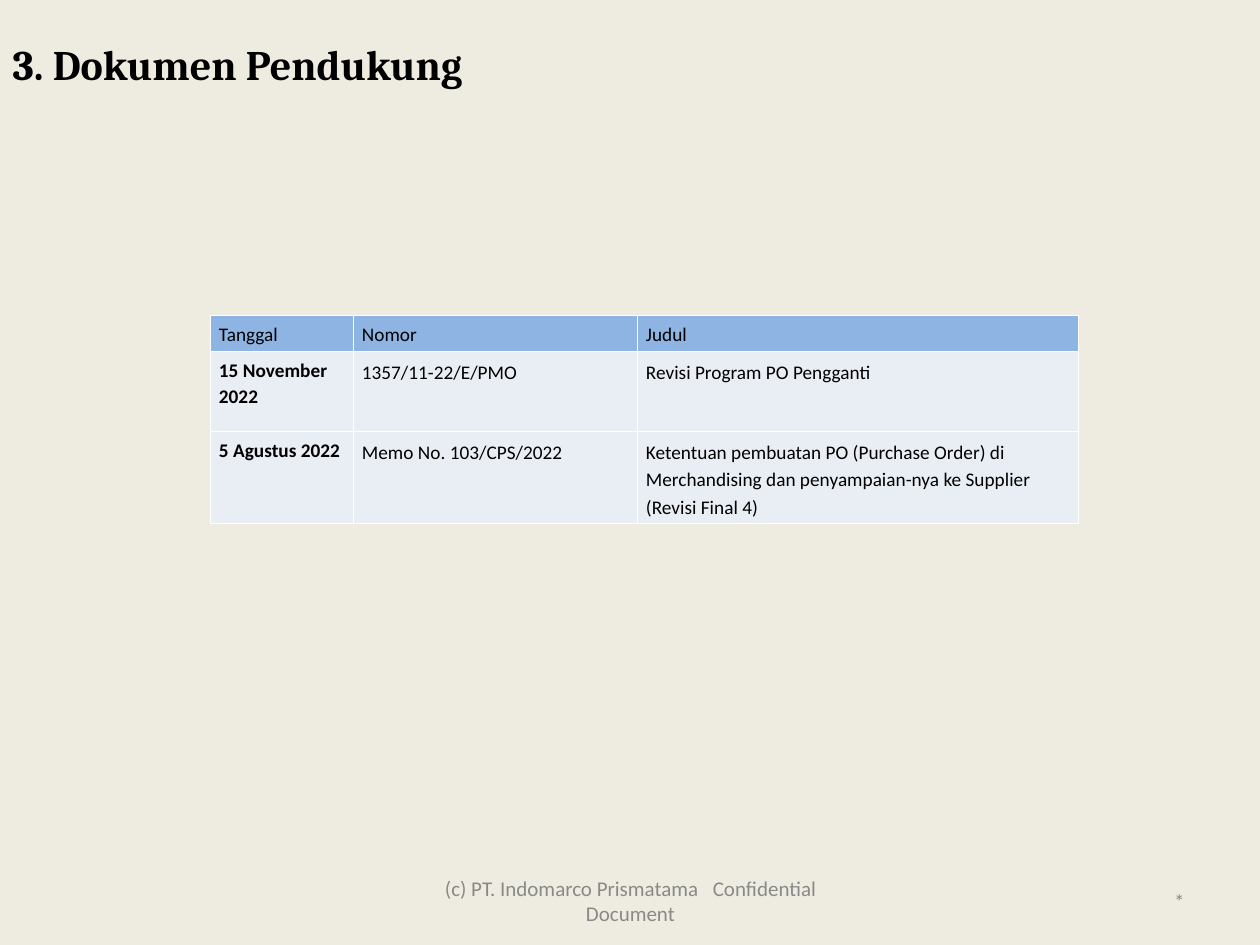
from typing import NamedTuple

from lxml.etree import SubElement
from pptx import Presentation
from pptx.dml.color import RGBColor
from pptx.enum.text import MSO_ANCHOR, MSO_AUTO_SIZE, PP_ALIGN
from pptx.oxml.ns import qn
from pptx.util import Emu, Pt

PX_PER_INCH = 126
COLORS = {
    "background": "EEECE1",
    "text": "000000",
    "footer": "898989",
    "header": "8EB4E3",
    "body": "E9EDF4",
    "border": "FFFFFF",
}
BORDER_WIDTH = Pt(0.45)


class Box(NamedTuple):
    left: int
    top: int
    width: int
    height: int


class Footer(NamedTuple):
    box: Box
    texts: tuple
    align: PP_ALIGN


class Document(NamedTuple):
    date: str
    number: str
    title: str


TITLE_BOX = Box(0, 32, 1260, 63)
TABLE_BOX = Box(210, 315, 868, 184)
COLUMN_WIDTHS = (143, 284, 441)
ROW_HEIGHTS = (25, 80, 79)
FOOTERS = (
    Footer(Box(431, 876, 399, 50),
           ("(c) PT. Indomarco Prismatama", " ", "Confidential Document"), PP_ALIGN.CENTER),
    Footer(Box(903, 876, 294, 50), ("*",), PP_ALIGN.RIGHT),
)
DOCUMENTS = (
    Document("Tanggal", "Nomor", "Judul"),
    Document("15 November 2022", "1357/11-22/E/PMO", "Revisi Program PO Pengganti"),
    Document("5 Agustus 2022", "Memo No. 103/CPS/2022",
             "Ketentuan pembuatan PO (Purchase Order) di Merchandising dan "
             "penyampaian-nya ke Supplier (Revisi Final 4)"),
)


def px(n: int) -> Emu:
    return Emu(round(n * 914400 / PX_PER_INCH))


def rgb(name: str) -> RGBColor:
    return RGBColor.from_string(COLORS[name])


def add_text(tf, text: str, *, size=11, font="Calibri", color="text", bold=False,
             align=PP_ALIGN.LEFT, line_spacing=1.0, tracking=0) -> None:
    p = tf.paragraphs[0]
    p.alignment = align
    p.line_spacing = line_spacing
    r = p.add_run()
    r.text = text
    r.font.size = Pt(size)
    r.font.name = font
    r.font.bold = bold
    r.font.color.rgb = rgb(color)
    if tracking:
        r._r.get_or_add_rPr().set("spc", str(tracking))


def add_title(s, text: str, box: Box) -> None:
    sp = s.shapes.title
    sp.left, sp.top, sp.width, sp.height = map(px, box)
    tf = sp.text_frame
    tf.word_wrap = True
    tf.auto_size = MSO_AUTO_SIZE.SHAPE_TO_FIT_TEXT
    tf.vertical_anchor = MSO_ANCHOR.TOP
    add_text(tf, text, size=24, font="Cambria", bold=True)


def add_footer(s, footer: Footer) -> None:
    tf = s.shapes.add_textbox(*map(px, footer.box)).text_frame
    tf.word_wrap = True
    tf.vertical_anchor = MSO_ANCHOR.MIDDLE
    for text in footer.texts:
        add_text(tf, text, size=12, color="footer", align=footer.align,
                 tracking=540 if text == " " else 0)


def set_borders(cell) -> None:
    tc_pr = cell._tc.get_or_add_tcPr()
    for i, side in enumerate(("lnL", "lnR", "lnT", "lnB")):
        ln = SubElement(tc_pr, qn(f"a:{side}"), w=str(int(BORDER_WIDTH)))
        fill = SubElement(ln, qn("a:solidFill"))
        SubElement(fill, qn("a:srgbClr"), val=COLORS["border"])
        tc_pr.insert(i, ln)


def add_documents(s, documents: tuple, box: Box) -> None:
    table = s.shapes.add_table(len(documents), len(COLUMN_WIDTHS), *map(px, box)).table
    for column, width in zip(table.columns, COLUMN_WIDTHS):
        column.width = px(width)
    for i, (row, height, document) in enumerate(zip(table.rows, ROW_HEIGHTS, documents)):
        row.height = px(height)
        for j, (cell, text) in enumerate(zip(row.cells, document)):
            cell.margin_left = cell.margin_right = px(9)
            cell.margin_top = cell.margin_bottom = px(6)
            cell.fill.solid()
            cell.fill.fore_color.rgb = rgb("body" if i else "header")
            set_borders(cell)
            add_text(cell.text_frame, text, bold=i > 0 and j == 0,
                     line_spacing=1.15 if i and j else 1.07)


def main() -> None:
    prs = Presentation()
    prs.slide_width, prs.slide_height = px(1260), px(945)
    s = prs.slides.add_slide(prs.slide_layouts[5])
    s.background.fill.solid()
    s.background.fill.fore_color.rgb = rgb("background")
    for footer in FOOTERS:
        add_footer(s, footer)
    add_title(s, "3. Dokumen Pendukung", TITLE_BOX)
    add_documents(s, DOCUMENTS, TABLE_BOX)
    prs.save("out.pptx")


if __name__ == "__main__":
    main()
